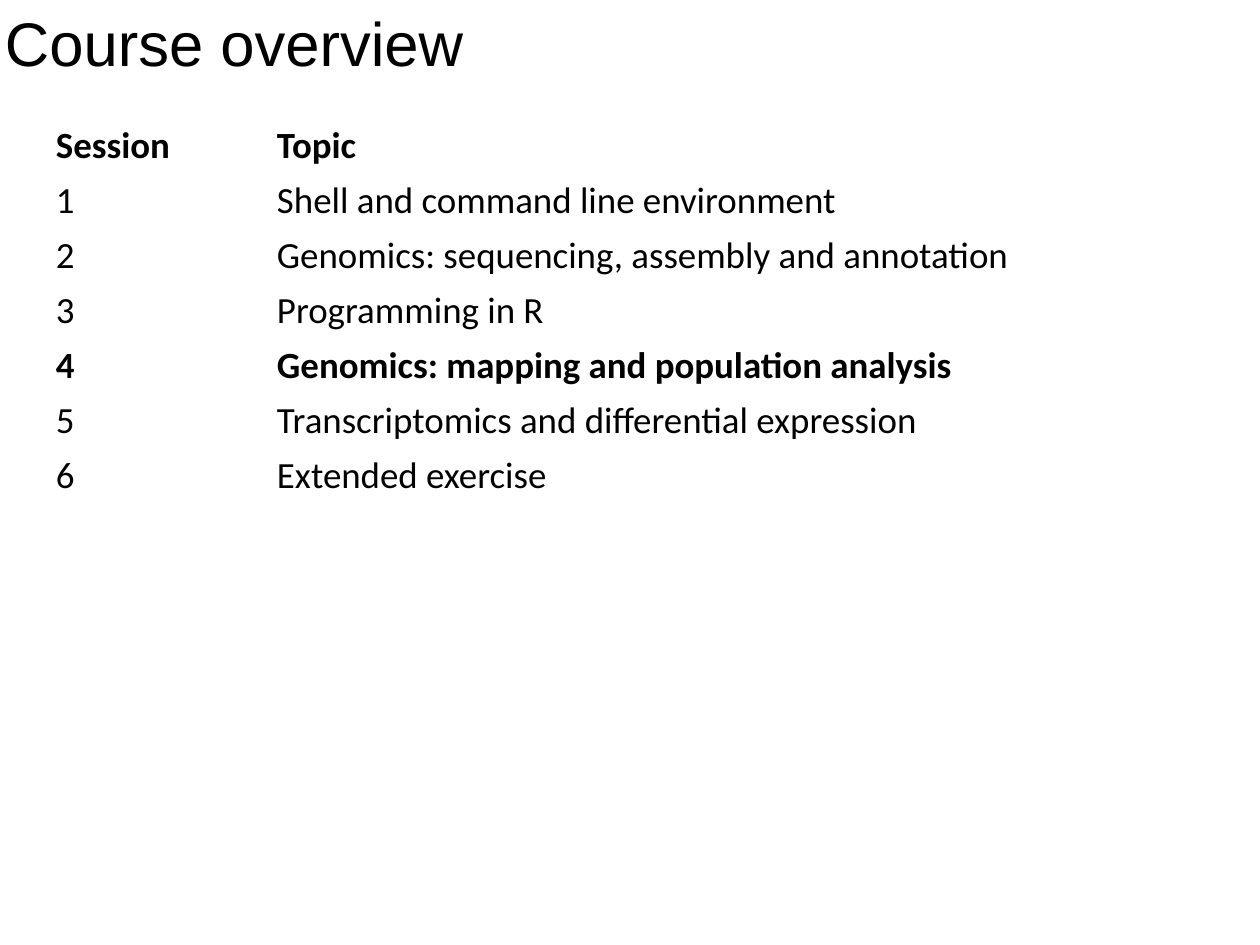
from pptx import Presentation
from pptx.dml.color import RGBColor
from pptx.enum.text import MSO_ANCHOR
from pptx.util import Emu, Pt

TITLE = "Course overview"
ROWS = [
    ("Session", "Topic"),
    ("1", "Shell and command line environment"),
    ("2", "Genomics: sequencing, assembly and annotation"),
    ("3", "Programming in R"),
    ("4", "Genomics: mapping and population analysis"),
    ("5", "Transcriptomics and differential expression"),
    ("6", "Extended exercise"),
]
BOLD = {0, 4}

BLACK = RGBColor(0, 0, 0)
MIDDLE, BOTTOM = MSO_ANCHOR.MIDDLE, MSO_ANCHOR.BOTTOM

# Lengths in px
WIDTH, HEIGHT = 1260, 945
PAD = 5
LEFT, TOP = 51, 118
COLS = (221, 811)
PITCH = 55


def px(n):
    return Emu(round(n * 914400 / 88.6))


def pad(part):
    part.margin_left = part.margin_right = px(PAD)
    part.margin_top = part.margin_bottom = px(PAD)


def write(frame, text, name, size, bold=False):
    line = frame.paragraphs[0]
    line.text = text
    font = line.font
    font.name, font.size, font.bold = name, Pt(size), bold
    font.color.rgb = BLACK


deck = Presentation()
deck.slide_width, deck.slide_height = px(WIDTH), px(HEIGHT)
slide = deck.slides.add_slide(deck.slide_layouts[6])

# Title
frame = slide.shapes.add_textbox(0, 0, px(624), px(84)).text_frame
frame.word_wrap = True
frame.vertical_anchor = BOTTOM
pad(frame)
write(frame, TITLE, "Arial", 50)

# Session table
table = slide.shapes.add_table(
    len(ROWS), len(COLS), px(LEFT), px(TOP),
    px(sum(COLS)), px(PITCH * len(ROWS))).table
table.first_row = table.horz_banding = False
for col, width in zip(table.columns, COLS):
    col.width = px(width)
for r, row in enumerate(ROWS):
    table.rows[r].height = px(PITCH)
    for c, text in enumerate(row):
        cell = table.cell(r, c)
        cell.fill.background()
        cell.vertical_anchor = MIDDLE
        pad(cell)
        write(cell.text_frame, text, "Calibri", 30, r in BOLD)

deck.save("out.pptx")
